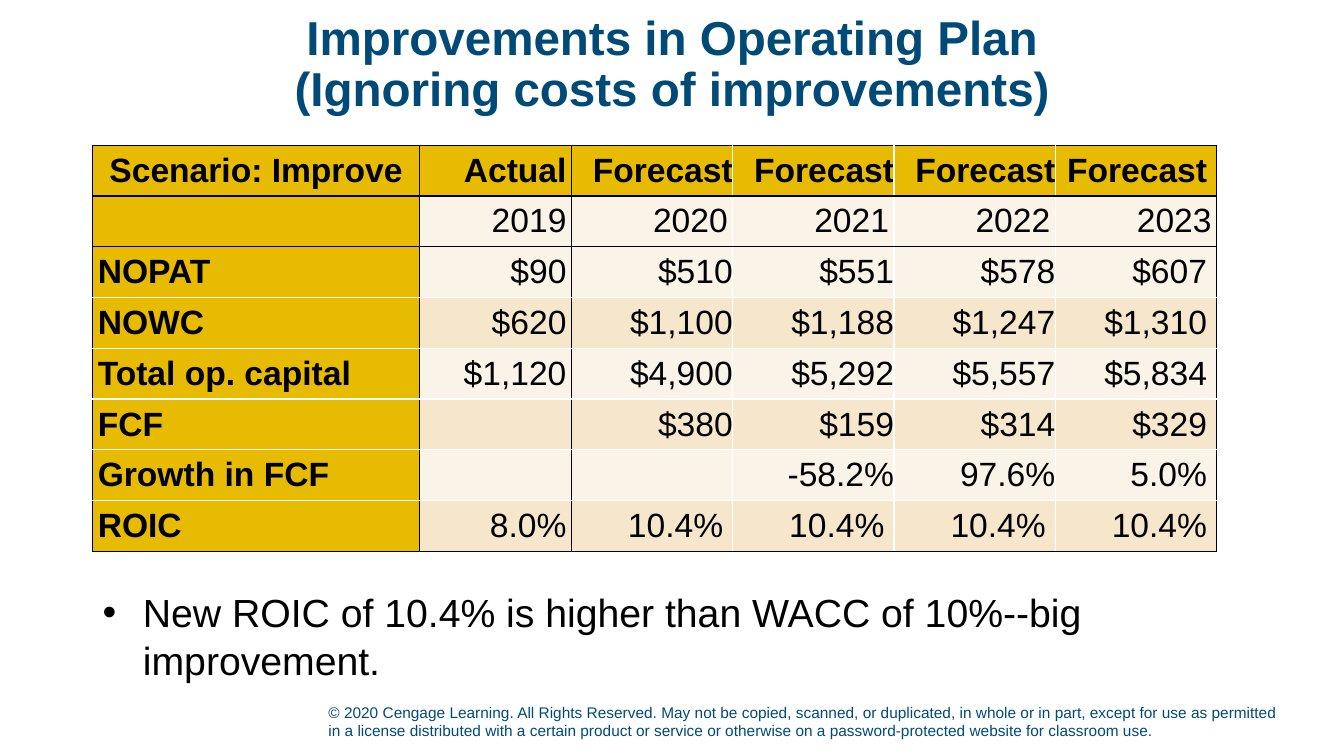
from dataclasses import dataclass

from lxml import etree
from pptx import Presentation
from pptx.dml.color import RGBColor
from pptx.enum import text
from pptx.oxml.ns import qn
from pptx.util import Pt

# Content
TITLE = ["Improvements in Operating Plan", "(Ignoring costs of improvements)"]
ROWS = [
    ["Scenario: Improve", "Actual", "Forecast", "Forecast", "Forecast", "Forecast"],
    ["", "2019", "2020", "2021", "2022", "2023"],
    ["NOPAT", "$90", "$510", "$551", "$578", "$607"],
    ["NOWC", "$620", "$1,100", "$1,188", "$1,247", "$1,310"],
    ["Total op. capital", "$1,120", "$4,900", "$5,292", "$5,557", "$5,834"],
    ["FCF", "", "$380", "$159", "$314", "$329"],
    ["Growth in FCF", "", "", "-58.2%", "97.6%", "5.0%"],
    ["ROIC", "8.0%", "10.4%", "10.4%", "10.4%", "10.4%"],
]
TAKEAWAY = "New ROIC of 10.4% is higher than WACC of 10%--big improvement."
COPYRIGHT = (
    "© 2020 Cengage Learning. All Rights Reserved. May not be copied, scanned, or "
    "duplicated, in whole or in part, except for use as permitted in a license "
    "distributed with a certain product or service or otherwise on a "
    "password-protected website for classroom use."
)

# Geometry in points
LEFT = 66.24
COLUMN_WIDTHS = [233.28, 108.72, 115.2, 115.2, 115.2, 115.2]
ROW_HEIGHT = 36.27
BLACK_ROW_LINES = {0, 1, 2, len(ROWS)}
BLACK_COLUMN_LINES = {0, 1, 2, len(COLUMN_WIDTHS)}


@dataclass(frozen=True)
class Theme:
    font: str = "Arial"
    navy: str = "004A78"
    black: str = "000000"
    white: str = "FFFFFF"
    gold: str = "E7BB01"
    light: str = "FAF3E7"
    sand: str = "F6E7CC"
    title: int = 34
    body: int = 28
    table: int = 24
    footer: int = 11


THEME = Theme()


def add_span(para, words, size, color, bold=False):
    span = para.add_run()
    span.text = words
    span.font.name = THEME.font
    span.font.size = Pt(size)
    span.font.bold = bold
    span.font.color.rgb = RGBColor.from_string(color)


def add_text_box(page, left, top, width, height, anchor):
    frame = page.shapes.add_textbox(Pt(left), Pt(top), Pt(width), Pt(height)).text_frame
    frame.word_wrap = True
    frame.vertical_anchor = anchor
    return frame.paragraphs[0]


def set_borders(cell, row, column):
    """Draw the four edges from the numbered grid lines they lie on."""
    edges = {
        "a:lnL": column in BLACK_COLUMN_LINES,
        "a:lnR": column + 1 in BLACK_COLUMN_LINES,
        "a:lnT": row in BLACK_ROW_LINES,
        "a:lnB": row + 1 in BLACK_ROW_LINES,
    }
    properties = cell._tc.get_or_add_tcPr()
    for tag, is_black in edges.items():
        line = etree.SubElement(properties, qn(tag), w=str(Pt(1)))
        fill = etree.SubElement(line, qn("a:solidFill"))
        color = THEME.black if is_black else THEME.white
        etree.SubElement(fill, qn("a:srgbClr"), val=color)


def side_margin(row, column):
    if row == 1 or column < 2:
        return 3.6
    if row == len(ROWS) - 1 or column == len(COLUMN_WIDTHS) - 1:
        return 6.84
    return 0


def cell_color(row, column):
    if row == 0 or column == 0:
        return THEME.gold
    return THEME.sand if row > 1 and row % 2 else THEME.light


def cell_alignment(row, column):
    if column:
        return text.PP_ALIGN.RIGHT
    return text.PP_ALIGN.LEFT if row else text.PP_ALIGN.CENTER


def add_title(page):
    box = page.shapes.title
    box.left, box.top, box.width, box.height = Pt(LEFT), Pt(10.8), Pt(828), Pt(72)
    frame = box.text_frame
    frame.word_wrap = True
    frame.auto_size = text.MSO_AUTO_SIZE.NONE
    frame.vertical_anchor = text.MSO_ANCHOR.MIDDLE
    para = frame.paragraphs[0]
    para.alignment = text.PP_ALIGN.CENTER
    para.line_spacing = 0.9
    for index, words in enumerate(TITLE):
        if index:
            para.add_line_break()
        add_span(para, words, THEME.title, THEME.navy, bold=True)


def add_scenario_table(page):
    table = page.shapes.add_table(
        len(ROWS), len(COLUMN_WIDTHS), Pt(LEFT), Pt(103.68),
        Pt(sum(COLUMN_WIDTHS)), Pt(ROW_HEIGHT * len(ROWS)),
    ).table
    table.first_row = table.horz_banding = False
    for column, width in enumerate(COLUMN_WIDTHS):
        table.columns[column].width = Pt(width)
    for row, values in enumerate(ROWS):
        table.rows[row].height = Pt(ROW_HEIGHT)
        for column, value in enumerate(values):
            cell = table.cell(row, column)
            set_borders(cell, row, column)
            cell.fill.solid()
            cell.fill.fore_color.rgb = RGBColor.from_string(cell_color(row, column))
            cell.vertical_anchor = text.MSO_ANCHOR.MIDDLE
            cell.margin_left = cell.margin_right = Pt(side_margin(row, column))
            cell.margin_top = cell.margin_bottom = 0
            para = cell.text_frame.paragraphs[0]
            para.alignment = cell_alignment(row, column)
            if value:
                add_span(para, value, THEME.table, THEME.black, row == 0 or column == 0)


def add_takeaway(page):
    para = add_text_box(page, LEFT, 417, 828, 92, text.MSO_ANCHOR.TOP)
    properties = para._p.get_or_add_pPr()
    properties.set("marL", str(Pt(28.8)))
    properties.set("indent", str(Pt(-28.8)))
    etree.SubElement(properties, qn("a:buFont"), typeface=THEME.font)
    etree.SubElement(properties, qn("a:buChar"), char="•")
    add_span(para, TAKEAWAY, THEME.body, THEME.black)


def add_copyright(page):
    para = add_text_box(page, 227.52, 496.08, 693.36, 36, text.MSO_ANCHOR.BOTTOM)
    add_span(para, COPYRIGHT, THEME.footer, THEME.navy)


def main():
    deck = Presentation()
    deck.slide_width, deck.slide_height = Pt(960), Pt(540)
    page = deck.slides.add_slide(deck.slide_layouts.get_by_name("Title Only"))
    add_copyright(page)
    add_title(page)
    add_scenario_table(page)
    add_takeaway(page)
    deck.save("out.pptx")


if __name__ == "__main__":
    main()
